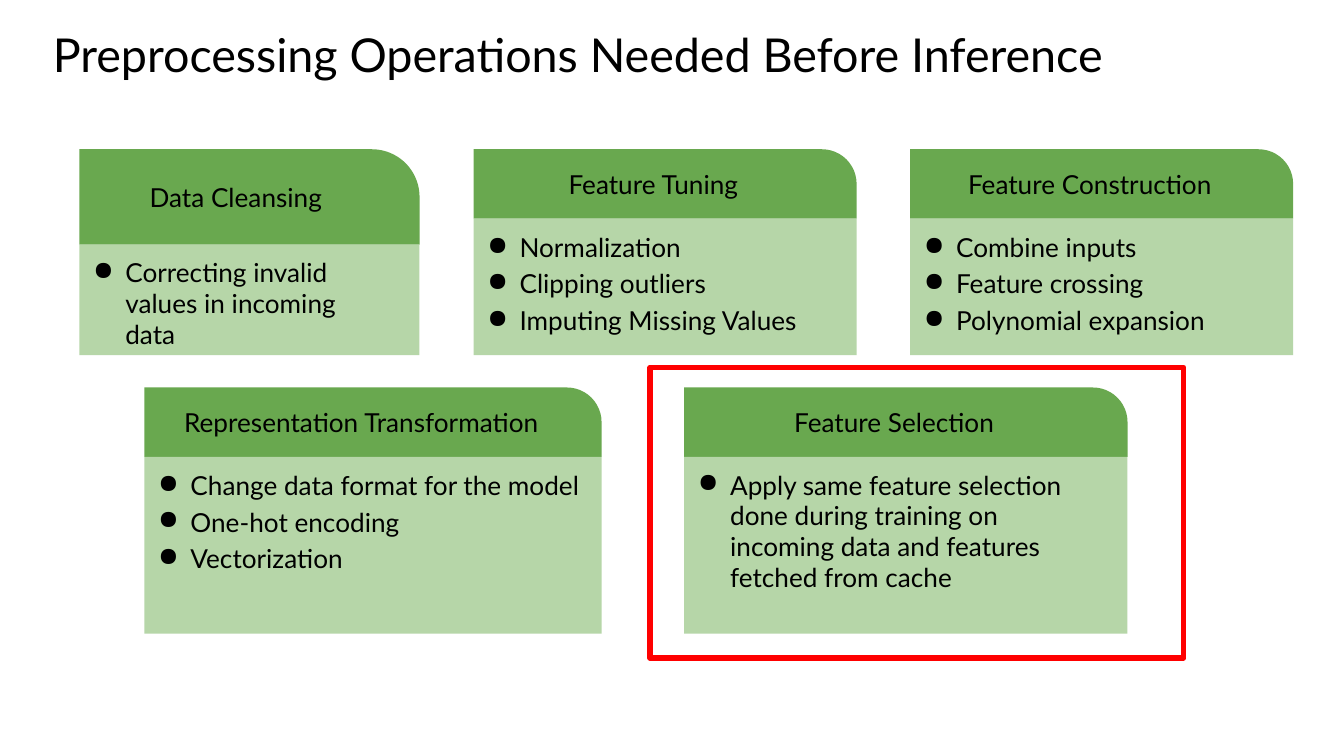
from dataclasses import dataclass

from lxml.etree import SubElement
from pptx import Presentation
from pptx.dml.color import RGBColor
from pptx.enum.shapes import MSO_SHAPE as Shape
from pptx.enum.text import MSO_ANCHOR as Anchor, PP_ALIGN as Align
from pptx.oxml.ns import qn
from pptx.util import Cm, Pt


@dataclass(frozen=True)
class Theme:
    font: str = "Lato"
    ink: str = "000000"
    header: str = "69A84F"
    body: str = "B6D6A8"
    highlight: str = "FF0000"
    title_size: float = 25
    text_size: float = 14
    bullet_gap: float = 2.7
    tight_leading: float = 16.5
    frame_width: float = 3


@dataclass(frozen=True)
class Card:
    heading: str
    points: tuple
    left: float
    width: float
    header_height: float = 1.31
    wraps: bool = False


class SlideBuilder:
    def __init__(self, slide, theme):
        self.slide = slide
        self.theme = theme

    def add_words(self, paragraph, text, size):
        run = paragraph.add_run()
        run.text = text
        run.font.name = self.theme.font
        run.font.size = Pt(size)
        run.font.color.rgb = RGBColor.from_string(self.theme.ink)

    def inset(self, frame, left=0, top=0, right=0):
        frame.word_wrap = True
        frame.margin_left, frame.margin_top = Cm(left), Cm(top)
        frame.margin_right, frame.margin_bottom = Cm(right), Cm(0)

    def title(self, text, left, top, width, height):
        heading = self.slide.shapes.add_textbox(Cm(left), Cm(top), Cm(width), Cm(height))
        self.inset(heading.text_frame, left=0.03, top=0.05)
        self.add_words(heading.text_frame.paragraphs[0], text, self.theme.title_size)

    def panel(self, kind, left, top, width, height, fill):
        panel = self.slide.shapes.add_shape(kind, Cm(left), Cm(top), Cm(width), Cm(height))
        panel.shadow.inherit = False
        panel.fill.solid()
        panel.fill.fore_color.rgb = RGBColor.from_string(fill)
        panel.line.fill.background()
        return panel

    def bullet(self, paragraph):
        properties = paragraph._p.get_or_add_pPr()
        properties.set("marL", str(Cm(0.87)))
        properties.set("indent", str(Cm(-0.61)))
        SubElement(properties, qn("a:buChar")).set("char", "●")

    def card(self, card, top, height):
        header = self.panel(Shape.ROUND_1_RECTANGLE, card.left, top, card.width,
                            card.header_height, self.theme.header)
        header.adjustments[0] = 0.5
        self.inset(header.text_frame, right=0.25)
        header.text_frame.vertical_anchor = Anchor.MIDDLE
        label = header.text_frame.paragraphs[0]
        label.alignment = Align.CENTER
        self.add_words(label, card.heading, self.theme.text_size)

        body = self.panel(Shape.RECTANGLE, card.left, top + card.header_height,
                          card.width, height - card.header_height, self.theme.body)
        self.inset(body.text_frame, top=0.24, right=0.95 if card.wraps else 0)
        body.text_frame.vertical_anchor = Anchor.TOP
        for index, point in enumerate(card.points):
            item = body.text_frame.add_paragraph() if index else body.text_frame.paragraphs[0]
            self.bullet(item)
            item.alignment = Align.LEFT
            if index:
                item.space_before = Pt(self.theme.bullet_gap)
            if card.wraps:
                item.line_spacing = Pt(self.theme.tight_leading)
            self.add_words(item, point, self.theme.text_size)

    def highlight(self, left, top, width, height):
        frame = self.panel(Shape.RECTANGLE, left, top, width, height, self.theme.highlight)
        frame.fill.background()
        frame.line.color.rgb = RGBColor.from_string(self.theme.highlight)
        frame.line.width = Pt(self.theme.frame_width)
        SubElement(frame.element.spPr.find(qn("a:ln")), qn("a:round"))


UPPER_ROW = (
    Card("Data Cleansing", ("Correcting invalid values in incoming data",),
         1.5, 6.43, header_height=1.8, wraps=True),
    Card("Feature Tuning", ("Normalization", "Clipping outliers", "Imputing Missing Values"),
         8.95, 7.24),
    Card("Feature Construction", ("Combine inputs", "Feature crossing", "Polynomial expansion"),
         17.2, 7.24),
)
LOWER_ROW = (
    Card("Representation Transformation",
         ("Change data format for the model", "One-hot encoding", "Vectorization"),
         2.73, 8.64),
    Card("Feature Selection",
         ("Apply same feature selection done during training on "
          "incoming data and features fetched from cache",),
         12.93, 8.38, wraps=True),
)


def main():
    deck = Presentation()
    deck.slide_width, deck.slide_height = Cm(25.4), Cm(14.28)
    builder = SlideBuilder(deck.slides.add_slide(deck.slide_layouts[6]), Theme())
    builder.title("Preprocessing Operations Needed Before Inference", 0.97, 0.43, 21, 1.14)
    for row, top, height in ((UPPER_ROW, 2.82, 3.89), (LOWER_ROW, 7.32, 4.65)):
        for card in row:
            builder.card(card, top, height)
    builder.highlight(12.29, 6.94, 10.08, 5.49)
    deck.save("out.pptx")


if __name__ == "__main__":
    main()
